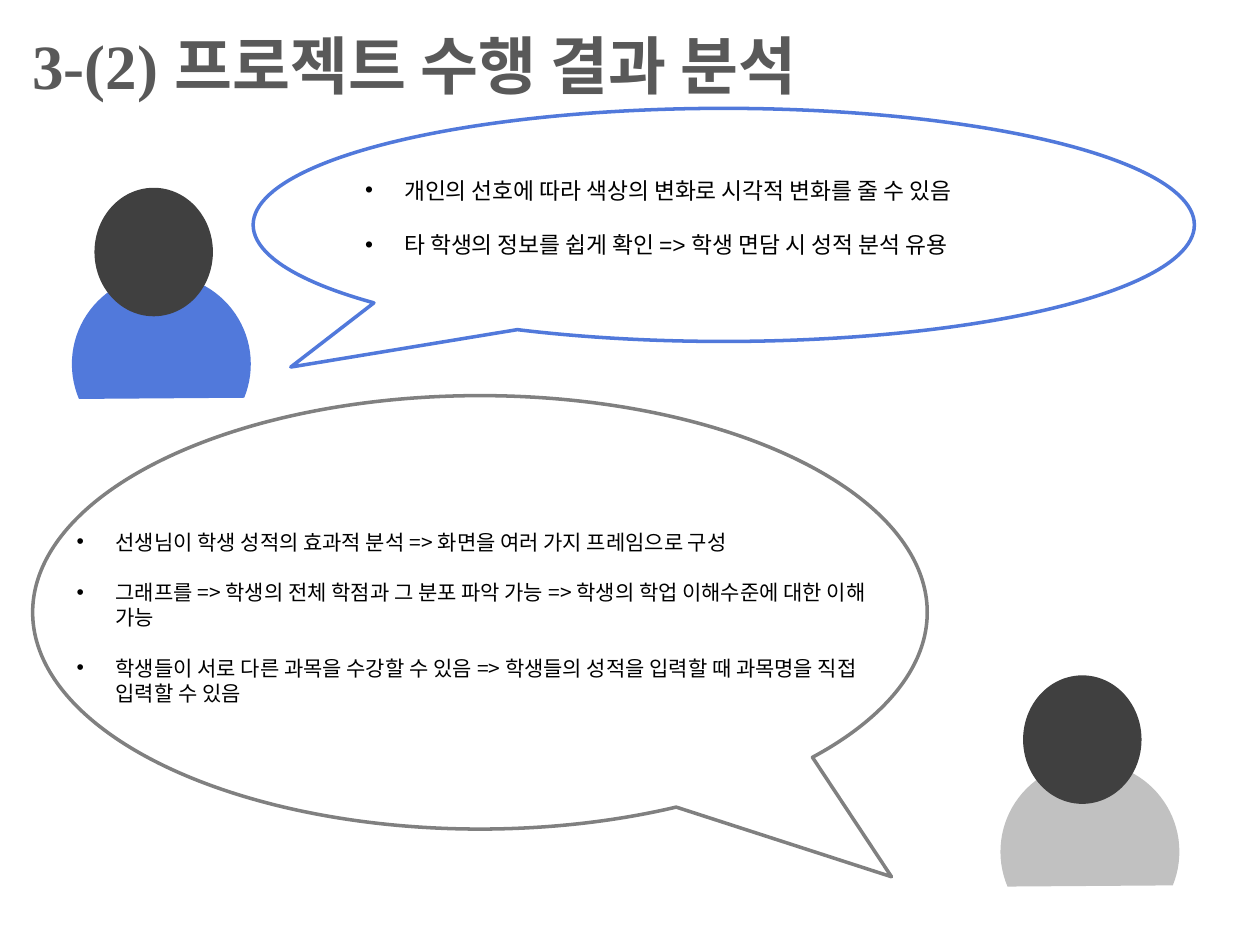
"""Build the project result analysis slide with two speakers and their remarks."""
from lxml.etree import SubElement
from pptx import Presentation
from pptx.dml.color import RGBColor
from pptx.enum.shapes import MSO_SHAPE
from pptx.enum.text import MSO_AUTO_SIZE
from pptx.oxml.ns import qn
from pptx.util import Emu, Inches, Pt

BLUE = RGBColor(0x51, 0x79, 0xDB)
SILVER = RGBColor(0xC1, 0xC1, 0xC1)
GRAY = RGBColor(0x80, 0x80, 0x80)
CHARCOAL = RGBColor(0x40, 0x40, 0x40)
TITLE_GRAY = RGBColor(0x59, 0x59, 0x59)
BLACK = RGBColor(0, 0, 0)

TITLE = "3-(2) 프로젝트 수행 결과 분석"
SPEAKERS = [
    {"body": (0.57, 2.18), "color": BLUE,
     "bubble": (2.01, 0.86, 7.47, 1.85), "outline": BLUE, "tail": (-0.46, 0.61)},
    {"body": (7.94, 6.05), "color": SILVER,
     "bubble": (0.26, 3.14, 7.1, 3.44), "outline": GRAY, "tail": (0.46, 0.61)},
]
REMARKS = [
    {"box": (0.51, 4.15, 6.61, 1.52), "size": 12, "font": "Noto Sans CJK KR", "points": [
        "선생님이 학생 성적의 효과적 분석 => 화면을 여러 가지 프레임으로 구성",
        "그래프를 => 학생의 전체 학점과 그 분포 파악 가능 => 학생의 학업 이해수준에 대한 이해 가능",
        "학생들이 서로 다른 과목을 수강할 수 있음 => 학생들의 성적을 입력할 때 과목명을 직접 입력할 수 있음",
    ]},
    {"box": (2.8, 1.35, 7.03, 0.76), "size": 13, "font": "Arial", "points": [
        "개인의 선호에 따라 색상의 변화로 시각적 변화를 줄 수 있음",
        "타 학생의 정보를 쉽게 확인 => 학생 면담 시 성적 분석 유용",
    ]},
]
BODY_SIZE = 1.42
BODY_TURN = 112.1
HEAD_WIDTH, HEAD_HEIGHT = 0.94, 1.02
HEAD_RISE = 0.69
INDENT = Inches(0.31)
LINE_RATIO = 1.2


def add_figure(slide, preset, box, fill=None, outline=None):
    figure = slide.shapes.add_shape(preset, *map(Inches, box))
    figure.shadow.inherit = False
    if fill is None:
        figure.fill.background()
    else:
        figure.fill.solid()
        figure.fill.fore_color.rgb = fill
    if outline is None:
        figure.line.fill.background()
    else:
        figure.line.color.rgb = outline
        figure.line.width = Pt(2)
    return figure


def add_speaker(slide, speaker):
    left, top = speaker["body"]
    body = add_figure(slide, MSO_SHAPE.CHORD, (left, top, BODY_SIZE, BODY_SIZE), speaker["color"])
    body.rotation = BODY_TURN
    head_left = left + (BODY_SIZE - HEAD_WIDTH) / 2 - 0.06
    add_figure(slide, MSO_SHAPE.OVAL, (head_left, top - HEAD_RISE, HEAD_WIDTH, HEAD_HEIGHT), CHARCOAL)
    bubble = add_figure(slide, MSO_SHAPE.OVAL_CALLOUT, speaker["bubble"], outline=speaker["outline"])
    bubble.adjustments[0], bubble.adjustments[1] = speaker["tail"]


def add_text(slide, box, wrap):
    frame = slide.shapes.add_textbox(*map(Inches, box)).text_frame
    frame.word_wrap = wrap
    frame.auto_size = MSO_AUTO_SIZE.SHAPE_TO_FIT_TEXT
    return frame


def add_run(paragraph, text, font, size, color, bold=False):
    run = paragraph.add_run()
    run.text = text
    run.font.name = font
    run.font.size = Pt(size)
    run.font.color.rgb = color
    run.font.bold = bold


def add_remarks(slide, remarks):
    frame = add_text(slide, remarks["box"], True)
    for index, point in enumerate(remarks["points"]):
        paragraph = frame.add_paragraph() if index else frame.paragraphs[0]
        properties = paragraph._p.get_or_add_pPr()
        properties.set("marL", str(INDENT))
        properties.set("indent", str(Emu(-INDENT)))
        if index:
            paragraph.space_before = Pt(remarks["size"] * LINE_RATIO)
        SubElement(properties, qn("a:buFont")).set("typeface", "Arial")
        SubElement(properties, qn("a:buChar")).set("char", "•")
        add_run(paragraph, point, remarks["font"], remarks["size"], BLACK)


def main():
    presentation = Presentation()
    presentation.slide_width, presentation.slide_height = Inches(10), Inches(7.5)
    slide = presentation.slides.add_slide(presentation.slide_layouts[6])
    for speaker in SPEAKERS:
        add_speaker(slide, speaker)
    title = add_text(slide, (0.16, 0.16, 6.77, 0.71), False)
    add_run(title.paragraphs[0], TITLE, "Times New Roman", 36, TITLE_GRAY, True)
    for remarks in REMARKS:
        add_remarks(slide, remarks)
    presentation.save("out.pptx")


if __name__ == "__main__":
    main()
